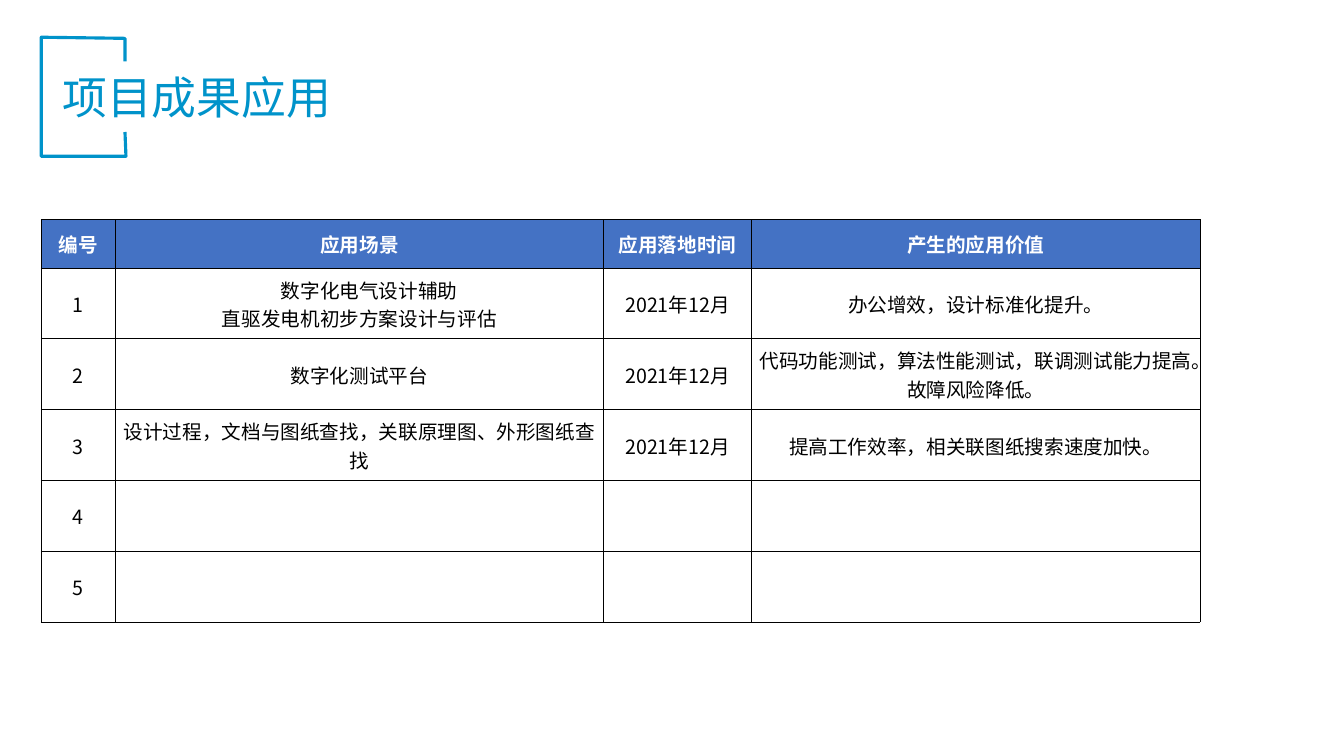
from lxml.etree import SubElement
from pptx import Presentation
from pptx.dml.color import RGBColor
from pptx.enum.text import MSO_ANCHOR as Anchor, MSO_AUTO_SIZE as AutoSize, PP_ALIGN as Align
from pptx.oxml.ns import qn
from pptx.util import Pt

FONT = "Noto Sans CJK SC"
ACCENT, HEADER_FILL, WHITE, BLACK = "0093CA", "4472C4", "FFFFFF", "000000"

FRAME_POINTS = [(89.3, 94.3), (90, 111.6), (29.5, 111.6), (29.5, 26.6), (89.3, 27.4), (89.3, 43.9)]

COLUMN_WIDTHS = [52.8, 349, 105.6, 320.4]
HEADER_HEIGHT, ROW_HEIGHT = 34.4, 50.6
ROWS = [
    ["编号", "应用场景", "应用落地时间", "产生的应用价值"],
    ["1", "　数字化电气设计辅助\n直驱发电机初步方案设计与评估", "2021年12月", "办公增效，设计标准化提升。"],
    ["2", "数字化测试平台", "2021年12月", "代码功能测试，算法性能测试，联调测试能力提高。\n故障风险降低。"],
    ["3", "设计过程，文档与图纸查找，关联原理图、外形图纸查找", "2021年12月",
     "提高工作效率，相关联图纸搜索速度加快。"],
    ["4", "", "", ""],
    ["5", "", "", ""],
]


def color(value):
    return RGBColor.from_string(value)


def apply(target, values):
    for name, value in values.items():
        setattr(target, name, value)


class SlideBuilder:
    def __init__(self, slide, font_name):
        self.slide = slide
        self.font_name = font_name

    def add_text(self, frame, text, size, text_color, bold=False, align=Align.LEFT):
        """Fill a text frame, one paragraph per line of text."""
        for index, line in enumerate(text.split("\n")):
            paragraph = frame.paragraphs[0] if index == 0 else frame.add_paragraph()
            paragraph.alignment = align
            run = paragraph.add_run()
            run.text = line
            apply(run.font, {"size": Pt(size), "bold": bold, "name": self.font_name})
            run.font.color.rgb = color(text_color)
            SubElement(run._r.get_or_add_rPr(), qn("a:ea"), typeface=self.font_name)

    def outline(self, points, line_color, width):
        start, *others = [(Pt(x), Pt(y)) for x, y in points]
        builder = self.slide.shapes.build_freeform(*start)
        builder.add_line_segments(others, close=False)
        shape = builder.convert_to_shape()
        shape.shadow.inherit = False
        shape.fill.background()
        shape.line.color.rgb = color(line_color)
        shape.line.width = Pt(width)

    def text_box(self, left, top, width, height, text, size, text_color):
        shape = self.slide.shapes.add_textbox(Pt(left), Pt(top), Pt(width), Pt(height))
        apply(shape.text_frame, {"word_wrap": True, "auto_size": AutoSize.SHAPE_TO_FIT_TEXT})
        self.add_text(shape.text_frame, text, size, text_color)

    def borders(self, cell, top_width):
        properties = cell._tc.get_or_add_tcPr()
        for side, width in {"L": 0.5, "R": 0.5, "T": top_width, "B": 0.5}.items():
            line = SubElement(properties, qn(f"a:ln{side}"), w=str(Pt(width)))
            fill = SubElement(line, qn("a:solidFill"))
            SubElement(fill, qn("a:srgbClr"), val=BLACK)

    def cell(self, cell, text, is_header):
        apply(cell, {"margin_left": Pt(0.7), "margin_right": Pt(0.7), "margin_top": Pt(0.7),
                     "margin_bottom": Pt(0), "vertical_anchor": Anchor.MIDDLE})
        self.borders(cell, 1 if is_header else 0.5)
        if is_header:
            cell.fill.solid()
            cell.fill.fore_color.rgb = color(HEADER_FILL)
        else:
            cell.fill.background()
        if text:
            self.add_text(cell.text_frame, text, 14, WHITE if is_header else BLACK, is_header, Align.CENTER)

    def table(self, left, top, widths, heights, rows):
        table = self.slide.shapes.add_table(len(rows), len(widths), Pt(left), Pt(top),
                                            Pt(sum(widths)), Pt(sum(heights))).table
        apply(table, {"first_row": False, "horz_banding": False})
        for column, width in zip(table.columns, widths):
            column.width = Pt(width)
        for row, height in zip(table.rows, heights):
            row.height = Pt(height)
        for row_index, texts in enumerate(rows):
            for column_index, text in enumerate(texts):
                self.cell(table.cell(row_index, column_index), text, row_index == 0)


def main():
    presentation = Presentation()
    apply(presentation, {"slide_width": Pt(960), "slide_height": Pt(540)})
    slide = presentation.slides.add_slide(presentation.slide_layouts[6])
    builder = SlideBuilder(slide, FONT)
    builder.outline(FRAME_POINTS, ACCENT, 2.25)
    builder.text_box(37.4, 46, 702, 46, "项目成果应用", 32, ACCENT)
    heights = [HEADER_HEIGHT] + [ROW_HEIGHT] * (len(ROWS) - 1)
    builder.table(29.5, 157, COLUMN_WIDTHS, heights, ROWS)
    presentation.save("out.pptx")


if __name__ == "__main__":
    main()
